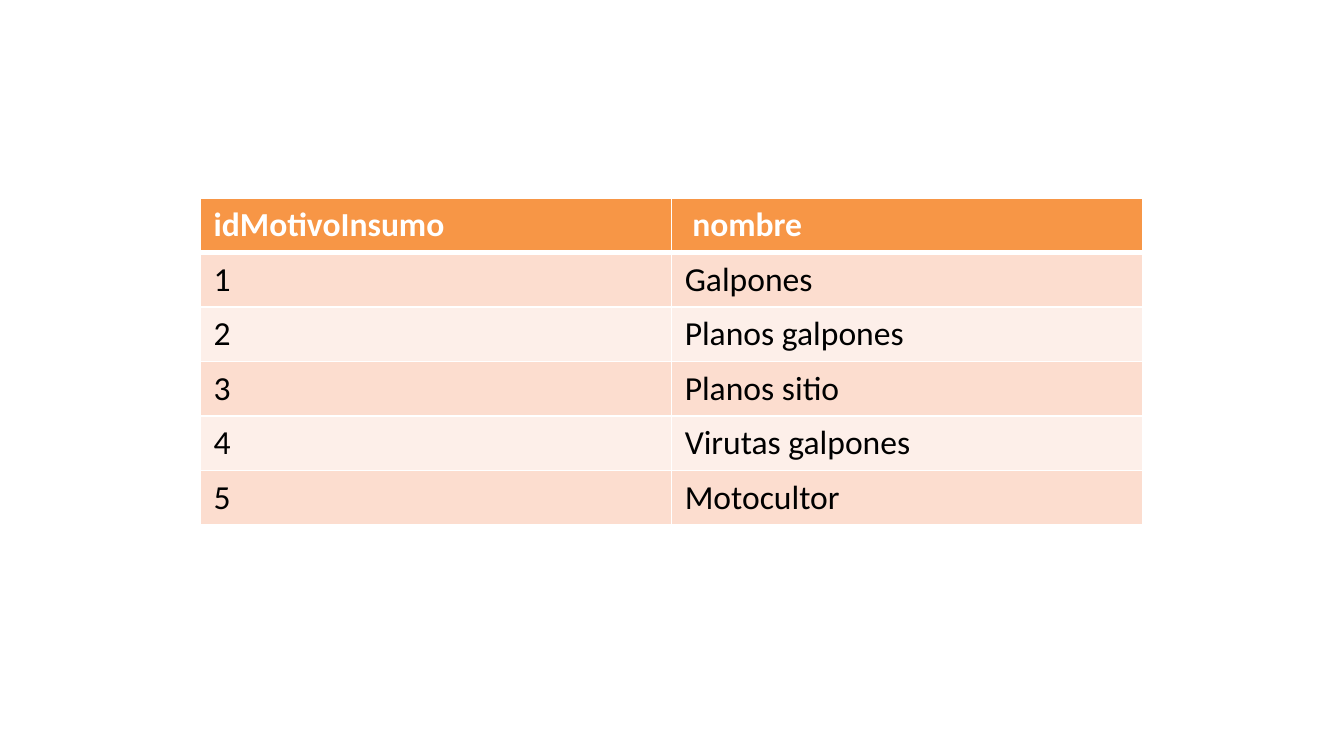
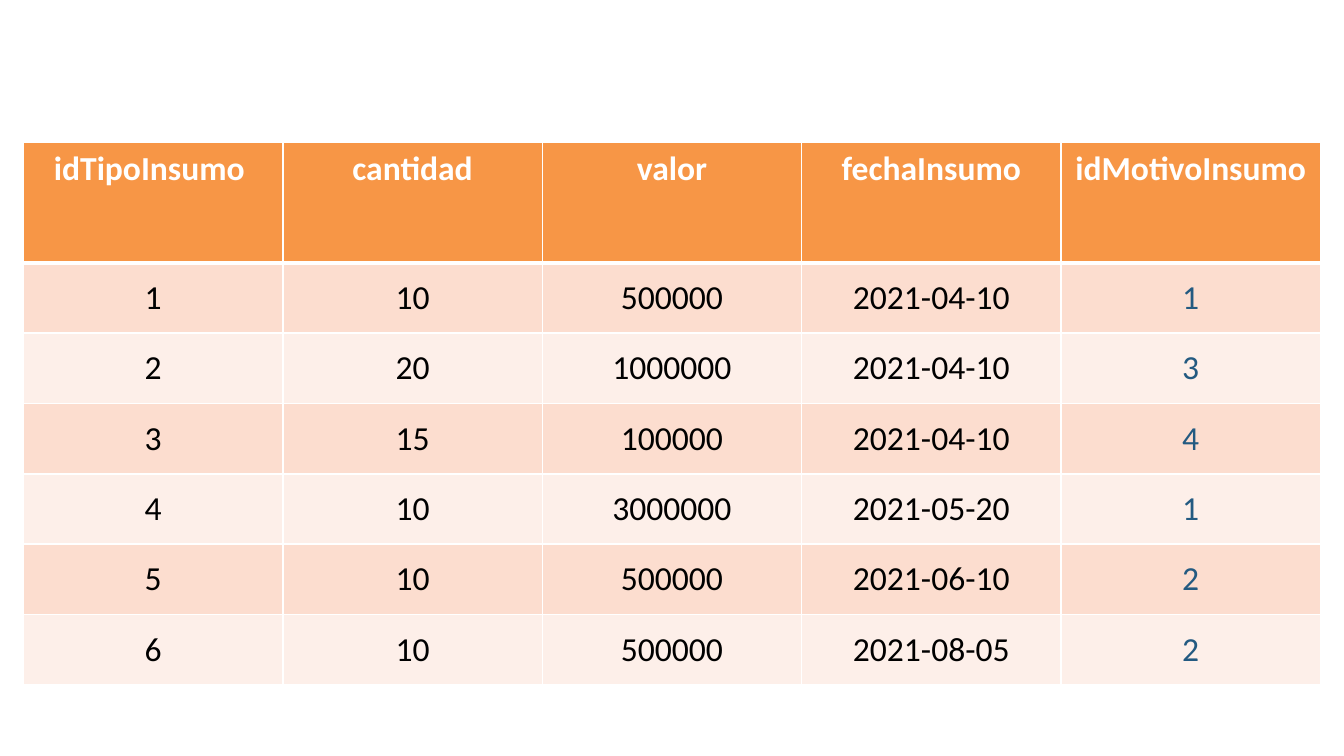
from dataclasses import dataclass
from typing import Optional

from lxml import etree
from pptx import Presentation
from pptx import util as u
from pptx.dml.color import RGBColor
from pptx.enum import text
from pptx.oxml.ns import qn

COLORS = {
    "header": "F79646",
    "band_dark": "FCDDCF",
    "band_light": "FDEFE9",
    "border": "FFFFFF",
    "header_text": "FFFFFF",
    "body_text": "000000",
    "foreign_key": "235A81",
}
FONT = "Calibri"
FONT_SIZE = 18
THIN, THICK = 1, 3
GRID_COLUMNS, GRID_ROWS = 100, 56.25
GRID_UNIT = u.Inches(0.1)


@dataclass(frozen=True)
class DataTable:
    left: float
    top: float
    width: float
    height: float
    header_height: float
    row_height: float
    align: text.PP_ALIGN
    header: tuple[str, ...]
    records: tuple[tuple[str, ...], ...]
    key_column: Optional[int] = None


TABLES = (
    DataTable(
        14.9, 14.74, 70.1, 24, 3.6, 3.6, text.PP_ALIGN.LEFT,
        ("idMotivoInsumo", " nombre"),
        (
            ("1", "Galpones"),
            ("2", "Planos galpones"),
            ("3", "Planos sitio"),
            ("4", "Virutas galpones"),
            ("5", "Motocultor"),
        ),
    ),
    DataTable(
        1.75, 10.57, 96.5, 40.4, 9, 5.23, text.PP_ALIGN.CENTER,
        ("idTipoInsumo ", "cantidad", "valor", "fechaInsumo", "idMotivoInsumo"),
        (
            ("1", "10", "500000", "2021-04-10", "1"),
            ("2", "20", "1000000", "2021-04-10", "3"),
            ("3", "15", "100000", "2021-04-10", "4"),
            ("4", "10", "3000000", "2021-05-20", "1"),
            ("5", "10", "500000", "2021-06-10", "2"),
            ("6", "10", "500000", "2021-08-05", "2"),
        ),
        key_column=4,
    ),
)


def grid(units: float) -> u.Emu:
    return u.Emu(round(units * GRID_UNIT))


def color(name: str) -> RGBColor:
    return RGBColor.from_string(COLORS[name])


def set_borders(cell, top: float, bottom: float) -> None:
    properties = cell._tc.get_or_add_tcPr()
    for side, width in (("L", THIN), ("R", THIN), ("T", top), ("B", bottom)):
        line = etree.SubElement(properties, qn(f"a:ln{side}"), w=str(u.Pt(width)))
        fill = etree.SubElement(line, qn("a:solidFill"))
        etree.SubElement(fill, qn("a:srgbClr"), val=COLORS["border"])


def fill_cell(cell, content: str, align: text.PP_ALIGN, fill: str,
              text_color: str, is_header: bool) -> None:
    cell.fill.solid()
    cell.fill.fore_color.rgb = color(fill)
    cell.vertical_anchor = text.MSO_ANCHOR.TOP if is_header else text.MSO_ANCHOR.MIDDLE
    para = cell.text_frame.paragraphs[0]
    para.alignment = align
    span = para.add_run()
    span.text = content
    span.font.name = FONT
    span.font.size = u.Pt(FONT_SIZE)
    span.font.bold = is_header
    span.font.color.rgb = color(text_color)


def draw_table(page, data: DataTable) -> None:
    lines = (data.header, *data.records)
    frame = page.shapes.add_table(
        len(lines), len(data.header),
        grid(data.left), grid(data.top), grid(data.width), grid(data.height),
    )
    table = frame.table
    table.horz_banding = False
    for row, values in enumerate(lines):
        is_header = row == 0
        table.rows[row].height = grid(data.header_height if is_header else data.row_height)
        band = "header" if is_header else ("band_light", "band_dark")[row % 2]
        for column, content in enumerate(values):
            cell = table.cell(row, column)
            set_borders(cell, THICK if row == 1 else THIN, THICK if is_header else THIN)
            if is_header:
                text_color = "header_text"
            else:
                text_color = "foreign_key" if column == data.key_column else "body_text"
            fill_cell(cell, content, data.align, band, text_color, is_header)
    frame.height = grid(data.height)


def main() -> None:
    deck = Presentation()
    deck.slide_width = grid(GRID_COLUMNS)
    deck.slide_height = grid(GRID_ROWS)
    for data in TABLES:
        page = deck.slides.add_slide(deck.slide_layouts[6])
        draw_table(page, data)
    deck.save("out.pptx")


if __name__ == "__main__":
    main()
